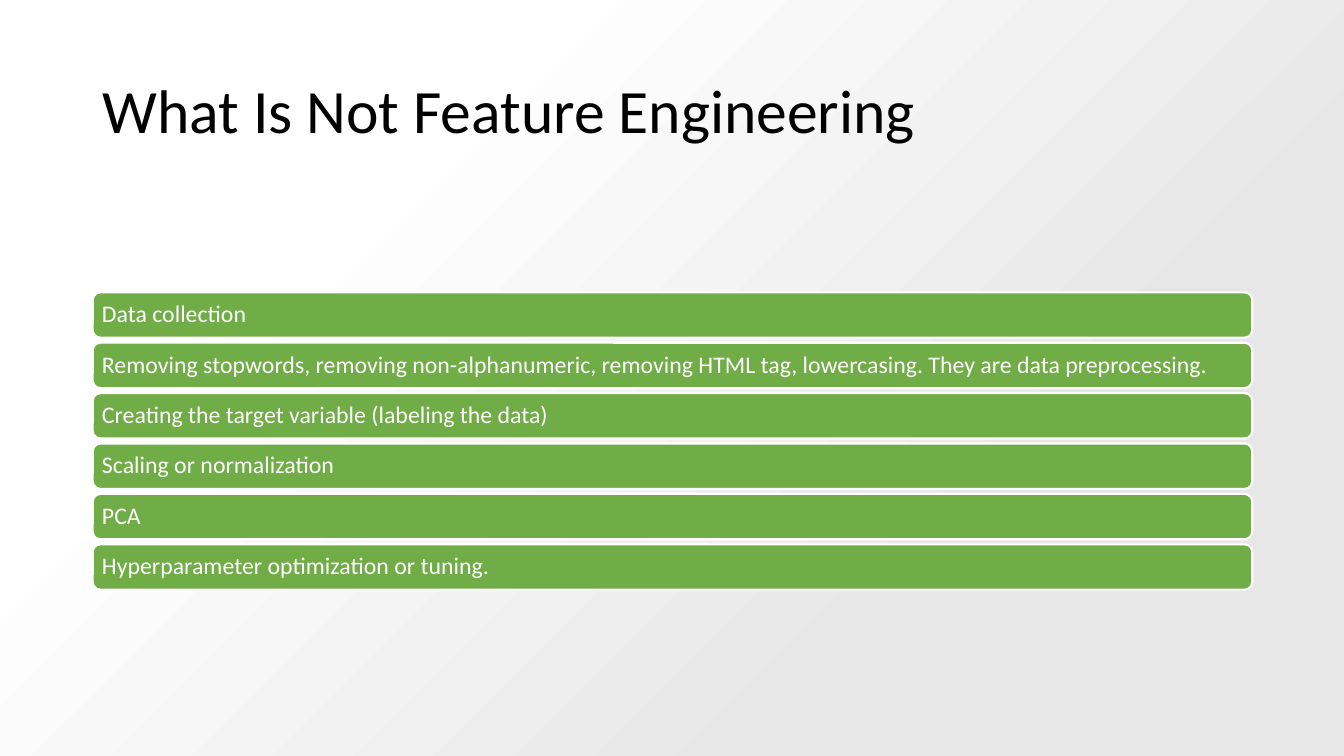
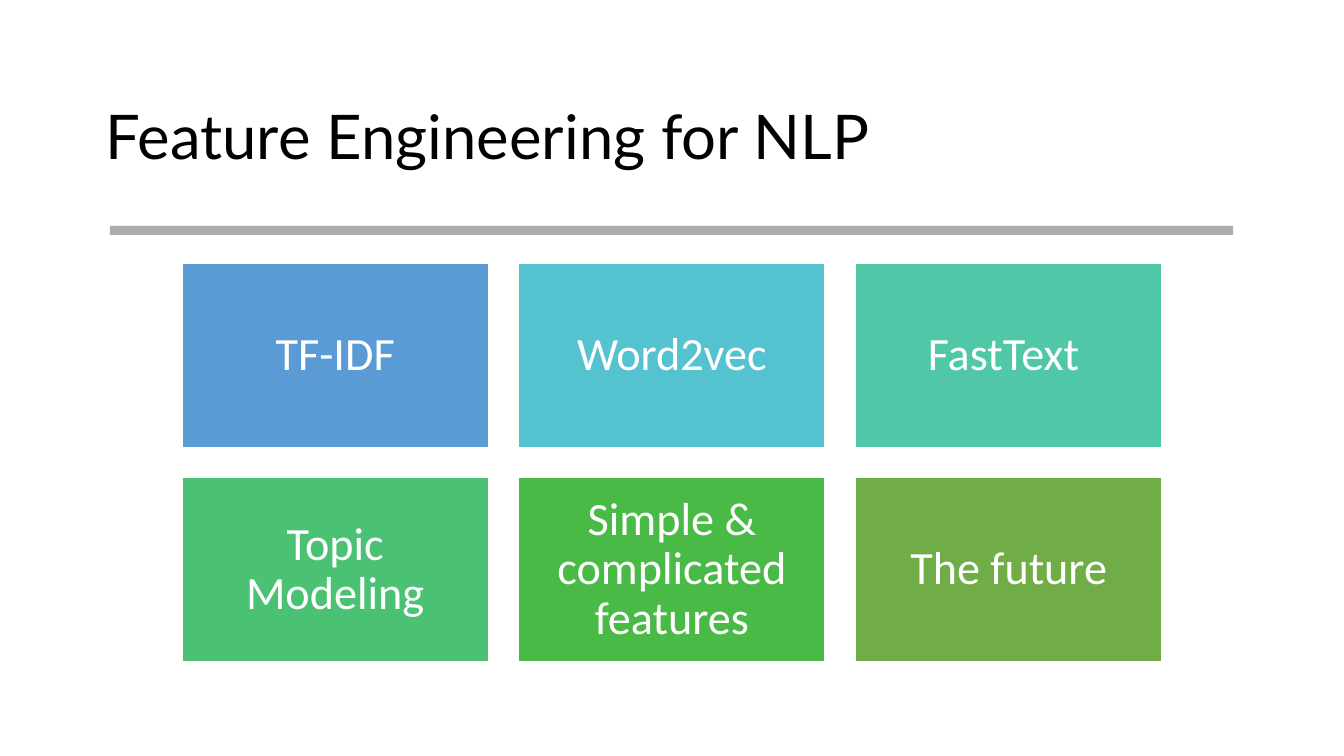
from pptx import Presentation
from pptx.dml.color import RGBColor
from pptx.enum.shapes import MSO_SHAPE
from pptx.enum.text import MSO_ANCHOR, PP_ALIGN
from pptx.util import Inches, Pt

SLIDE_WIDTH, SLIDE_HEIGHT = 13.33, 7.5
BLACK, WHITE, GREEN = "000000", "FFFFFF", "70AD47"
RULE_GREY, SHADE_GREY = "ACACAC", "E8E7E7"
BODY_FONT = "Calibri"

EXCLUSIONS = [
    "Data collection",
    "Removing stopwords, removing non-alphanumeric, removing HTML tag, "
    "lowercasing. They are data preprocessing.",
    "Creating the target variable (labeling the data)",
    "Scaling or normalization",
    "PCA",
    "Hyperparameter optimization or tuning.",
]
TOPICS = [
    ("TF-IDF", "5B9BD5"),
    ("Word2vec", "55C3CF"),
    ("FastText ", "50C8A7"),
    ("Topic Modeling", "4BC174"),
    ("Simple & complicated features", "4ABA46"),
    ("The future", GREEN),
]


def color(hex_code):
    """Return the RGB colour for a hex string."""
    return RGBColor.from_string(hex_code)


def write(shape, text, size, ink=WHITE, font=BODY_FONT, align=PP_ALIGN.LEFT, inset=0.1):
    """Put one formatted, vertically centred paragraph into a shape."""
    frame = shape.text_frame
    frame.word_wrap = True
    frame.vertical_anchor = MSO_ANCHOR.MIDDLE
    frame.margin_left = frame.margin_right = Inches(inset)
    frame.margin_top = frame.margin_bottom = Inches(min(inset, 0.05))
    paragraph = frame.paragraphs[0]
    paragraph.alignment = align
    paragraph.line_spacing = 0.9
    run = paragraph.add_run()
    run.text = text
    run.font.name = font
    run.font.size = Pt(size)
    run.font.color.rgb = color(ink)


def add_title(slide, text, left, top, width, font=BODY_FONT):
    """Add the slide heading."""
    heading = slide.shapes.add_textbox(*map(Inches, (left, top, width, 1.45)))
    write(heading, text, 44, ink=BLACK, font=font)


def add_block(slide, left, top, width, height, fill, kind=MSO_SHAPE.RECTANGLE, outline=0):
    """Add a flat shape, with a white outline if a width is given."""
    block = slide.shapes.add_shape(kind, *map(Inches, (left, top, width, height)))
    block.shadow.inherit = False
    block.fill.solid()
    block.fill.fore_color.rgb = color(fill)
    if outline:
        block.line.color.rgb = color(WHITE)
        block.line.width = Pt(outline)
    else:
        block.line.fill.background()
    return block


def add_backdrop(slide):
    """Cover the slide with a diagonal white to grey gradient."""
    backdrop = add_block(slide, 0, 0, SLIDE_WIDTH, SLIDE_HEIGHT, WHITE)
    backdrop.fill.gradient()
    backdrop.fill.gradient_angle = 315
    stops = zip(backdrop.fill.gradient_stops, ((0.26, WHITE), (0.72, SHADE_GREY)))
    for stop, (position, shade) in stops:
        stop.position = position
        stop.color.rgb = color(shade)


def add_bars(slide, labels):
    """Stack one rounded bar for each label."""
    for row, label in enumerate(labels):
        bar = add_block(slide, 0.92, 2.9 + row * 0.5, 11.5, 0.45, GREEN,
                        kind=MSO_SHAPE.ROUNDED_RECTANGLE, outline=1.5)
        write(bar, label, 17, inset=0.07)


def add_tiles(slide, topics, columns=3):
    """Lay the topics out as a horizontally centred grid of tiles."""
    width, height, gap, top = 3.04, 1.83, 0.3, 2.61
    left = (SLIDE_WIDTH - columns * width - (columns - 1) * gap) / 2
    for index, (label, fill) in enumerate(topics):
        row, column = divmod(index, columns)
        tile = add_block(slide, left + column * (width + gap), top + row * (height + gap),
                         width, height, fill, outline=1)
        write(tile, label, 33, align=PP_ALIGN.CENTER, inset=0.14)


def main():
    """Build and save the two slides."""
    deck = Presentation()
    deck.slide_width, deck.slide_height = Inches(SLIDE_WIDTH), Inches(SLIDE_HEIGHT)
    blank = deck.slide_layouts[6]

    exclusions = deck.slides.add_slide(blank)
    add_backdrop(exclusions)
    add_title(exclusions, "What Is Not Feature Engineering", 0.92, 0.4, 11.5)
    add_bars(exclusions, EXCLUSIONS)

    overview = deck.slides.add_slide(blank)
    add_title(overview, "Feature Engineering for NLP", 0.95, 0.66, 11.43, font="Lato")
    add_block(overview, 1.09, 2.24, 11.14, 0.09, RULE_GREY)
    add_tiles(overview, TOPICS)

    deck.save("out.pptx")


if __name__ == "__main__":
    main()
